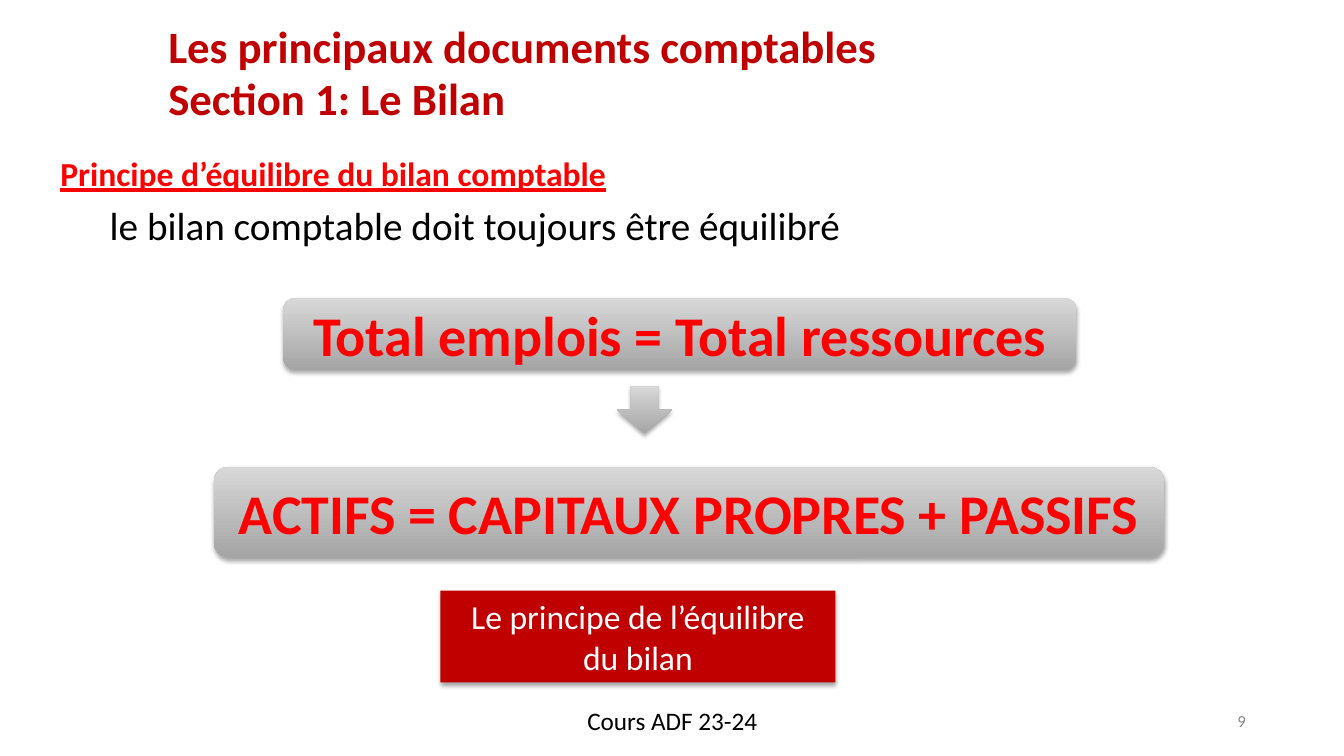
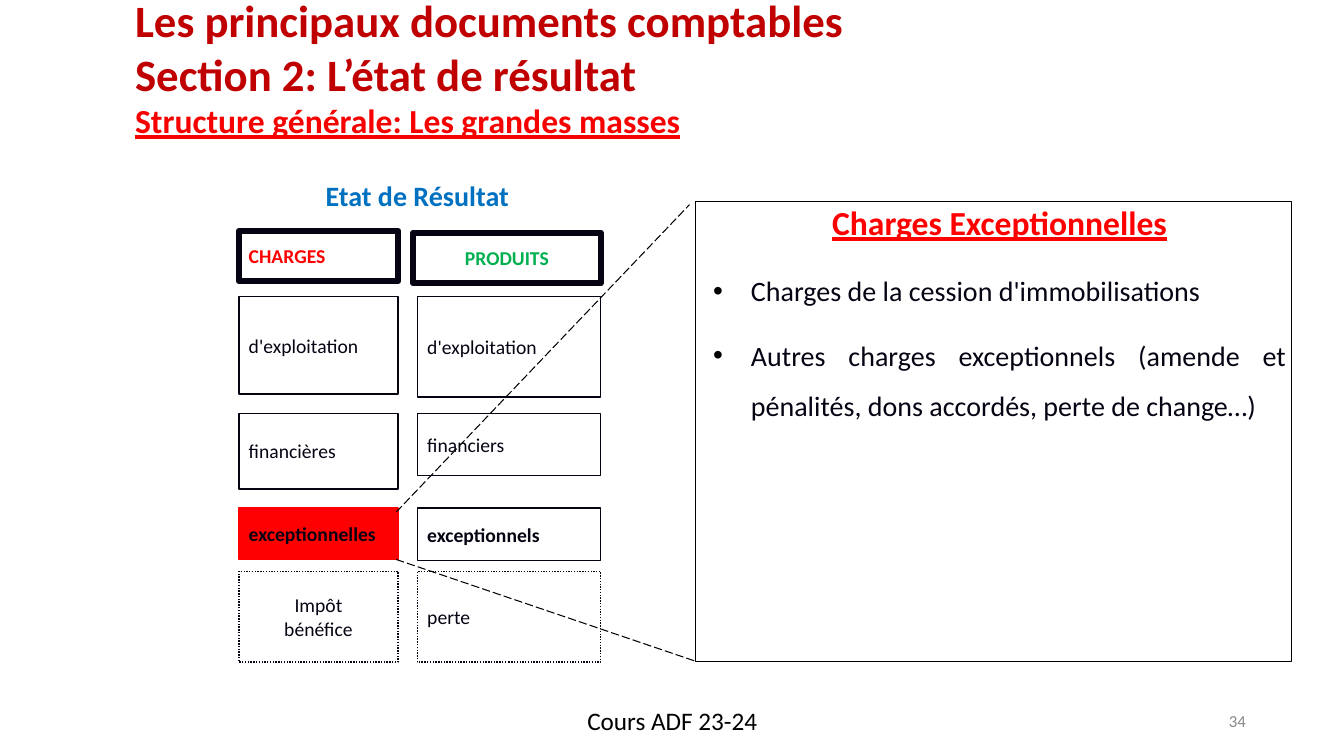
"""Build two accounting course slides: balance sheet and income statement."""
from dataclasses import dataclass

from lxml.etree import SubElement
from pptx import Presentation
from pptx.dml.color import RGBColor
from pptx.enum.dml import MSO_LINE
from pptx.enum.shapes import MSO_CONNECTOR, MSO_SHAPE
from pptx.enum.text import MSO_ANCHOR, MSO_AUTO_SIZE, PP_ALIGN
from pptx.oxml.ns import qn
from pptx.util import Pt


@dataclass(frozen=True)
class Theme:
    font: str = "Calibri"
    black: str = "000000"
    white: str = "FFFFFF"
    ink: str = "070313"
    title: str = "C00000"
    red: str = "FF0000"
    subtitle: str = "F60000"
    green: str = "00B050"
    blue: str = "0070C0"
    grey: str = "888888"
    grad: tuple = ("A5A5A5", "D8D8D8")
    formula_pt: int = 40
    title_pt: int = 32
    lead_pt: int = 28
    head_pt: int = 24
    list_pt: int = 20
    foot_pt: int = 18
    cell_pt: int = 14
    number_pt: int = 12


T = Theme()
LEFT, CENTER, RIGHT, JUSTIFY = PP_ALIGN.LEFT, PP_ALIGN.CENTER, PP_ALIGN.RIGHT, PP_ALIGN.JUSTIFY
TOP, MIDDLE, BOTTOM = MSO_ANCHOR.TOP, MSO_ANCHOR.MIDDLE, MSO_ANCHOR.BOTTOM


def write(sp, text, size, color=T.black, bold=False, underline=False, align=LEFT, anchor=TOP,
          inset=(7.2, 3.6), spacing=1.0, before=0, indent=(0, 0), bullet=None):
    tf = sp.text_frame
    tf.word_wrap, tf.auto_size, tf.vertical_anchor = True, MSO_AUTO_SIZE.NONE, anchor
    tf.margin_left = tf.margin_right = Pt(inset[0])
    tf.margin_top = tf.margin_bottom = Pt(inset[1])
    p = tf.add_paragraph() if tf.text else tf.paragraphs[0]
    p.alignment, p.line_spacing, p.space_before = align, spacing, Pt(before)
    pPr = p._p.get_or_add_pPr()
    pPr.set("marL", str(Pt(indent[0])))
    pPr.set("indent", str(Pt(indent[1])))
    if bullet:
        SubElement(SubElement(pPr, qn("a:buClr")), qn("a:srgbClr")).set("val", T.black)
        SubElement(pPr, qn("a:buFont")).set("typeface", "Arial")
        SubElement(pPr, qn("a:buChar")).set("char", bullet)
    else:
        SubElement(pPr, qn("a:buNone"))
    r = p.add_run()
    r.text = text
    r.font.name, r.font.size = T.font, Pt(size)
    r.font.bold, r.font.underline = bold, underline
    r.font.color.rgb = RGBColor.from_string(color)


def box(s, geo, at, fill=None, line=None, width=1, dash=None, shadow=False):
    sp = s.shapes.add_shape(geo, *map(Pt, at))
    sp.shadow.inherit = False
    if isinstance(fill, tuple):
        sp.fill.gradient()
        sp.fill.gradient_angle = 90
        for stop, color in zip(sp.fill.gradient_stops, fill):
            stop.color.rgb = RGBColor.from_string(color)
    elif fill:
        sp.fill.solid()
        sp.fill.fore_color.rgb = RGBColor.from_string(fill)
    else:
        sp.fill.background()
    if line:
        sp.line.color.rgb = RGBColor.from_string(line)
        sp.line.width = Pt(width)
        sp.line.dash_style = dash
    else:
        sp.line.fill.background()
    if shadow:
        shdw = SubElement(sp._element.spPr.find(qn("a:effectLst")), qn("a:outerShdw"),
                          blurRad=str(Pt(3.1)), dist=str(Pt(1.8)), dir="5400000", rotWithShape="0")
        clr = SubElement(shdw, qn("a:srgbClr"), val=T.black)
        SubElement(clr, qn("a:alpha"), val="35000")
    return sp


prs = Presentation()
prs.slide_width, prs.slide_height = Pt(960), Pt(540)

pages = [
    ("9", "Section 1: Le Bilan", (113, 12.2, 689, 156), (66.2, 144, 828, 342.7),
     dict(anchor=TOP, spacing=0.96)),
    ("34", "Section 2: L’état de résultat", (89.3, 0, 777, 95), (496.8, 144, 425.5, 328.3),
     dict(anchor=MIDDLE)),
]
slides = []
for number, section, title_at, body_at, fmt in pages:
    s = prs.slides.add_slide(prs.slide_layouts[1])
    slides.append(s)
    for sp, at in zip(s.placeholders, (title_at, body_at)):
        sp.left, sp.top, sp.width, sp.height = map(Pt, at)
    for text in ("Les principaux documents comptables", section):
        write(s.shapes.title, text, T.title_pt, T.title, bold=True, **fmt)
    footer = s.shapes.add_textbox(Pt(328.3), Pt(500.4), Pt(303.8), Pt(28.8))
    write(footer, "Cours ADF 23-24", T.foot_pt, align=CENTER)
    page_no = s.shapes.add_textbox(Pt(866.2), Pt(504), Pt(27.4), Pt(21.6))
    write(page_no, number, T.number_pt, T.grey, align=RIGHT, anchor=MIDDLE, inset=(3.6, 3.6))

balance, result = slides

write(balance.placeholders[1], "le bilan comptable doit toujours être équilibré", T.lead_pt,
      inset=(3.6, 3.6), spacing=0.9, indent=(8.6, 0))
heading = balance.shapes.add_textbox(Pt(36), Pt(105.8), Pt(412.6), Pt(36))
write(heading, "Principe d’équilibre du bilan comptable", T.head_pt, T.red, bold=True, underline=True)
formulas = [
    ("Total emplois = Total ressources", (202.3, 213.1, 566.6, 51.1)),
    ("ACTIFS = CAPITAUX PROPRES + PASSIFS", (152.6, 333.4, 679, 64.8)),
]
for text, at in formulas:
    sp = box(balance, MSO_SHAPE.ROUNDED_RECTANGLE, at, T.grad, shadow=True)
    write(sp, text, T.formula_pt, T.red, bold=True, align=CENTER, anchor=MIDDLE)
box(balance, MSO_SHAPE.DOWN_ARROW, (440.6, 275.8, 39.6, 33.8), T.grad, shadow=True)
principle = box(balance, MSO_SHAPE.RECTANGLE, (314.6, 421.9, 282.2, 65.5), T.title, shadow=True)
write(principle, "Le principe de l’équilibre du bilan", T.head_pt, T.white,
      align=CENTER, anchor=MIDDLE, inset=(16, 3.6))

write(result.shapes.title, "Structure générale: Les grandes masses", T.head_pt, T.subtitle,
      bold=True, underline=True, anchor=MIDDLE)
detail = result.placeholders[1]
detail.line.color.rgb = RGBColor.from_string(T.black)
detail.line.width = Pt(0.75)
hanging = dict(inset=(3.6, 3.6), indent=(36, -27))
write(detail, "Charges Exceptionnelles", T.head_pt, T.red, bold=True, underline=True,
      align=CENTER, spacing=0.9, **hanging)
for text in ("Charges de la cession d'immobilisations",
             "Autres charges exceptionnels (amende et pénalités, dons accordés, perte de change…)"):
    write(detail, text, T.list_pt, T.ink, align=JUSTIFY, spacing=1.5, before=10, bullet="•", **hanging)

caption = result.shapes.add_textbox(Pt(154.1), Pt(128.9), Pt(288), Pt(25.9))
write(caption, "Etat de Résultat", T.list_pt, T.blue, bold=True, align=CENTER, anchor=BOTTOM, spacing=0.75)

heads = [
    ("CHARGES", T.red, LEFT, (170.6, 164.9, 113.8, 36)),
    ("PRODUITS", T.green, CENTER, (295.2, 166.3, 133.9, 36)),
]
for text, color, align, at in heads:
    sp = box(result, MSO_SHAPE.RECTANGLE, at, line=T.ink, width=4.5)
    write(sp, text, T.cell_pt, color, bold=True, align=align, anchor=MIDDLE)

columns = [(170.6, 113.8), (298.1, 131)]
rows = [
    (211.7, [("d'exploitation", 69.8), ("d'exploitation", 72)], {}, False),
    (295.2, [("financières", 54), ("financiers", 44.6)], {}, False),
    (362.9, [("exceptionnelles", 36.7), ("exceptionnels", 37.4)], {}, True),
    (408.2, [("Impôt\nbénéfice", 64.8), ("perte", 64.8)], dict(dash=MSO_LINE.ROUND_DOT), False),
]
for top, cells, border, bold in rows:
    for (left, width), (text, height) in zip(columns, cells):
        marked = text == "exceptionnelles"
        sp = box(result, MSO_SHAPE.RECTANGLE, (left, top, width, height),
                 fill=T.red if marked else None, line=T.red if marked else T.ink, **border)
        for part in text.split("\n"):
            write(sp, part, T.cell_pt, T.ink, bold=bold, anchor=MIDDLE,
                  align=CENTER if "\n" in text else LEFT)

for ends in ((283, 365.8, 492.5, 146.2), (283, 399.6, 496.8, 472.3)):
    ray = result.shapes.add_connector(MSO_CONNECTOR.STRAIGHT, *map(Pt, ends))
    ray.line.color.rgb = RGBColor.from_string(T.black)
    ray.line.width = Pt(0.75)
    ray.line.dash_style = MSO_LINE.LONG_DASH
    SubElement(ray._element.spPr, qn("a:effectLst"))

prs.save("out.pptx")
